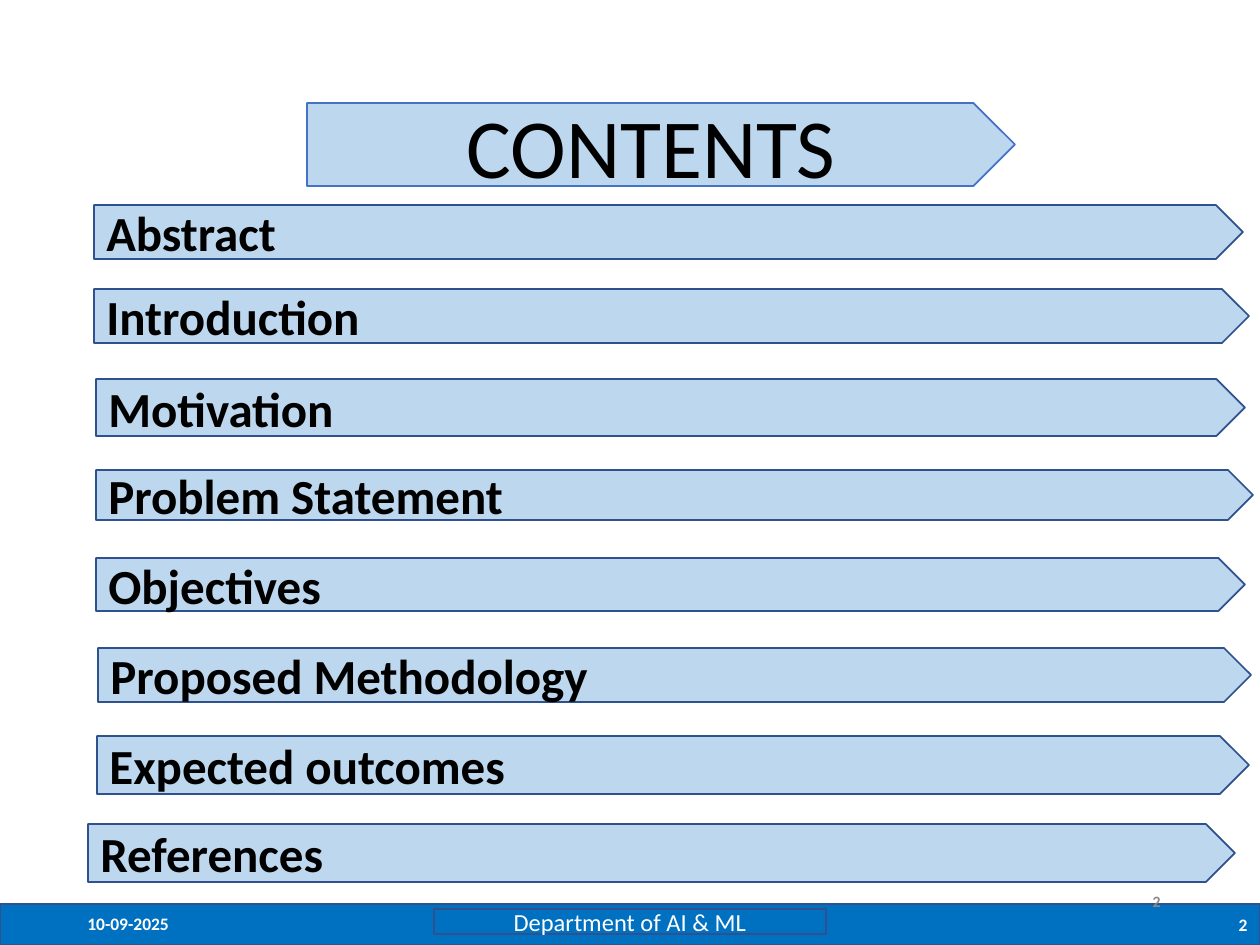
from dataclasses import dataclass

from pptx import Presentation
from pptx.dml.color import RGBColor
from pptx.enum import shapes, text
from pptx.util import Inches, Pt

SCALE = 126  # px to the inch


@dataclass(frozen=True)
class Theme:
    font: str = "Calibri"
    bar: str = "0070C0"
    pale: str = "BDD7EE"
    edge: str = "2F528F"
    rim: str = "4472C4"
    ink: str = "000000"
    white: str = "FFFFFF"
    grey: str = "898989"
    head: int = 48
    item: int = 28
    dept: int = 14
    foot: int = 10
    small: int = 9


T = Theme()
LEFT, MID, RIGHT = text.PP_ALIGN.LEFT, text.PP_ALIGN.CENTER, text.PP_ALIGN.RIGHT
RECT, ARROW = shapes.MSO_SHAPE.RECTANGLE, shapes.MSO_SHAPE.PENTAGON

# Topic, then left, top, width, height in px
TOPICS = [
    ("Abstract", 94, 205, 1149, 54),
    ("Introduction", 94, 289, 1155, 54),
    ("Motivation", 96, 379, 1149, 57),
    ("Problem Statement", 96, 470, 1157, 50),
    ("Objectives", 96, 558, 1149, 53),
    ("Proposed Methodology", 98, 648, 1153, 54),
    ("Expected outcomes", 97, 736, 1152, 58),
    ("References", 88, 824, 1147, 58),
]


def px(*nums):
    return [Inches(n / SCALE) for n in nums]


def write(shape, words, size, color, align=LEFT, bold=False):
    frame = shape.text_frame
    frame.text = words
    frame.word_wrap = True
    frame.auto_size = text.MSO_AUTO_SIZE.NONE
    frame.vertical_anchor = text.MSO_ANCHOR.MIDDLE
    para = frame.paragraphs[0]
    para.alignment = align
    font = para.runs[0].font
    font.name, font.size, font.bold = T.font, Pt(size), bold
    font.color.rgb = RGBColor.from_string(color)


def block(slide, kind, box, fill, edge):
    shape = slide.shapes.add_shape(kind, *px(*box))
    shape.shadow.inherit = False
    shape.fill.solid()
    shape.fill.fore_color.rgb = RGBColor.from_string(fill)
    shape.line.color.rgb = RGBColor.from_string(edge)
    shape.line.width = Pt(1)
    return shape


def label(slide, box, words, size, color, align):
    write(slide.shapes.add_textbox(*px(*box)), words, size, color, align, True)


def title(slide, box, words):
    head = slide.shapes.title
    head.left, head.top, head.width, head.height = px(*box)
    write(head, words, T.head, T.ink, MID)
    frame = head.text_frame
    frame.margin_top = frame.margin_bottom = 0


def footer(slide):
    block(slide, RECT, (0, 904, 1260, 41), T.bar, T.edge)
    dept = block(slide, RECT, (434, 909, 392, 25), T.bar, T.edge)
    write(dept, "Department of AI & ML", T.dept, T.white, MID)
    label(slide, (75, 901, 261, 44), "10-09-2025", T.foot, T.white, LEFT)
    label(slide, (1036, 904, 224, 41), "2", T.foot, T.white, RIGHT)
    label(slide, (890, 876, 283, 50), "2", T.small, T.grey, RIGHT)


def main():
    deck = Presentation()
    deck.slide_width, deck.slide_height = px(1260, 945)
    slide = deck.slides.add_slide(deck.slide_layouts[5])

    # Footer band with date and page numbers
    footer(slide)

    # Heading arrow, with the title lifted in front of it
    arrow = block(slide, ARROW, (307, 103, 708, 83), T.pale, T.rim)
    arrow._element.addnext(slide.shapes.title._element)
    title(slide, (307, 93, 688, 103), "CONTENTS")

    # Topic arrows
    for words, *box in TOPICS:
        write(block(slide, ARROW, box, T.pale, T.edge), words, T.item, T.ink, bold=True)

    deck.save("out.pptx")


if __name__ == "__main__":
    main()
